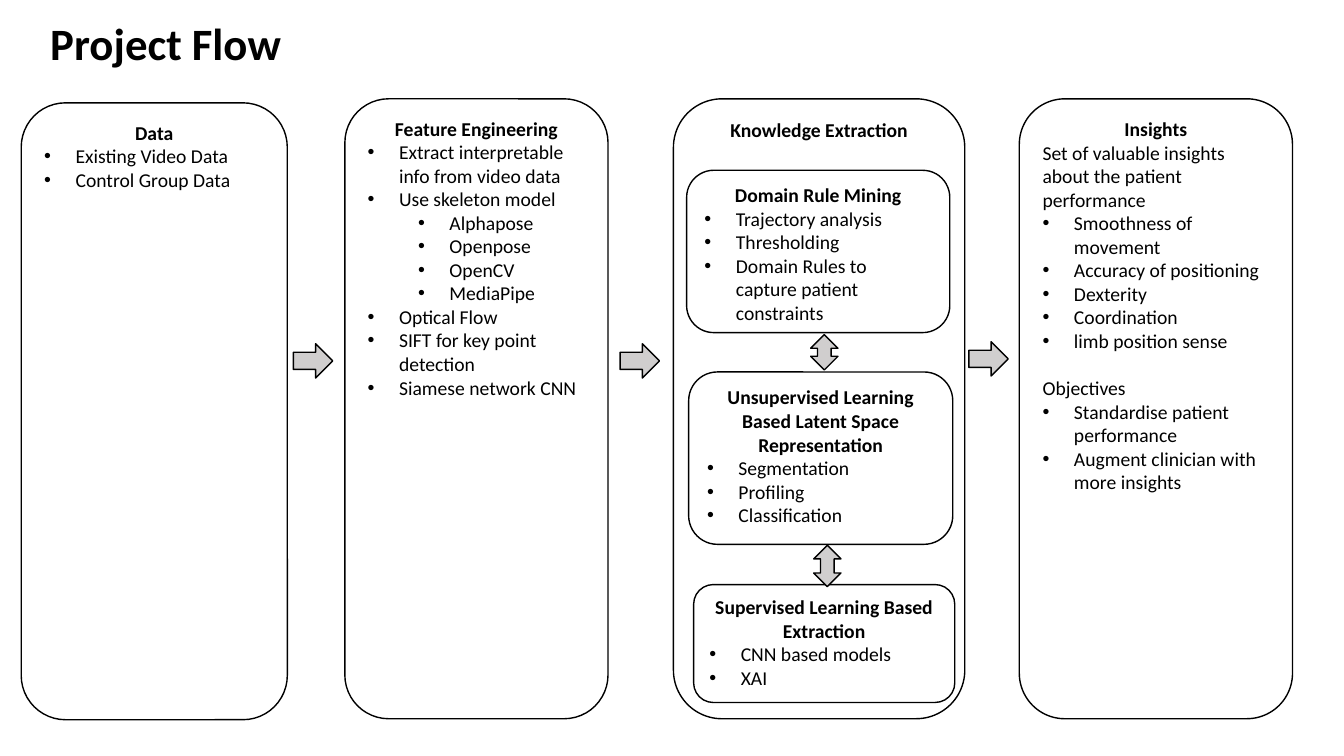
from dataclasses import dataclass
from enum import Enum

from lxml import etree
from pptx import Presentation, util as u
from pptx.dml.color import RGBColor
from pptx.enum import shapes, text
from pptx.oxml import ns

COLOURS = {"ink": "000000", "panel": "FFFFFF", "arrow": "D0CECE"}
FONT_NAME = "Calibri"
BODY_SIZE = 14
TITLE_SIZE = 32

deck = Presentation()
deck.slide_width, deck.slide_height = u.Inches(13.33), u.Inches(7.5)
page = deck.slides.add_slide(deck.slide_layouts[6])


@dataclass(frozen=True)
class Area:
    """A rectangle in percent of the slide's width and height."""
    left: float
    top: float
    width: float
    height: float

    def lengths(self) -> list[int]:
        return [across(self.left), down(self.top), across(self.width), down(self.height)]


class Style(Enum):
    HEADING = "heading"
    PLAIN = "plain"
    SECTION = "section"
    BULLET = "bullet"
    SUB_BULLET = "sub-bullet"


@dataclass(frozen=True)
class Line:
    text: str
    style: Style = Style.BULLET


@dataclass(frozen=True)
class Panel:
    area: Area
    heading: str
    lines: tuple[Line, ...] = ()


@dataclass(frozen=True)
class Arrow:
    kind: shapes.MSO_SHAPE
    area: Area


PARAGRAPH_FORMATS = {
    Style.HEADING: {"alignment": text.PP_ALIGN.CENTER},
    Style.PLAIN: {"alignment": text.PP_ALIGN.LEFT},
    Style.SECTION: {"alignment": text.PP_ALIGN.LEFT, "space_before": u.Pt(17)},
    Style.BULLET: {"alignment": text.PP_ALIGN.LEFT},
    Style.SUB_BULLET: {"alignment": text.PP_ALIGN.LEFT, "level": 1},
}
BULLET_HANG = 2.34
BULLET_MARGINS = {Style.BULLET: 2.34, Style.SUB_BULLET: 6.09}

COLUMN_TOP, COLUMN_HEIGHT = 13.07, 82
PANELS = (
    Panel(Area(50.11, COLUMN_TOP, 21.68, COLUMN_HEIGHT), "Knowledge Extraction"),
    Panel(Area(1.58, 13.6, 19.8, 81.6), "Data",
          (Line("Existing Video Data"), Line("Control Group Data"))),
    Panel(Area(25.66, COLUMN_TOP, 19.58, COLUMN_HEIGHT), "Feature Engineering", (
        Line("Extract interpretable info from video data"),
        Line("Use skeleton model"),
        Line("Alphapose", Style.SUB_BULLET),
        Line("Openpose", Style.SUB_BULLET),
        Line("OpenCV", Style.SUB_BULLET),
        Line("MediaPipe", Style.SUB_BULLET),
        Line("Optical Flow"),
        Line("SIFT for key point detection"),
        Line("Siamese network CNN"))),
    Panel(Area(75.84, COLUMN_TOP, 20.33, COLUMN_HEIGHT), "Insights", (
        Line("Set of valuable insights about the patient performance", Style.PLAIN),
        Line("Smoothness of movement"),
        Line("Accuracy of positioning"),
        Line("Dexterity"),
        Line("Coordination"),
        Line("limb position sense"),
        Line("Objectives", Style.SECTION),
        Line("Standardise patient performance"),
        Line("Augment clinician with more insights"))),
    Panel(Area(51.09, 22.53, 19.58, 21.47), "Domain Rule Mining", (
        Line("Trajectory analysis"),
        Line("Thresholding"),
        Line("Domain Rules to capture patient constraints"))),
    Panel(Area(51.24, 49.2, 19.65, 22.8),
          "Unsupervised Learning Based Latent Space Representation",
          (Line("Segmentation"), Line("Profiling"), Line("Classification"))),
    Panel(Area(51.61, 77.33, 19.43, 15.6), "Supervised Learning Based Extraction",
          (Line("CNN based models"), Line("XAI"))),
)

NEXT, BOTH_WAYS = shapes.MSO_SHAPE.RIGHT_ARROW, shapes.MSO_SHAPE.UP_DOWN_ARROW
ARROWS = (
    Arrow(NEXT, Area(21.83, 45.47, 2.93, 4.53)),
    Arrow(NEXT, Area(46.14, 45.47, 2.93, 4.53)),
    Arrow(NEXT, Area(72.09, 45.2, 2.93, 4.53)),
    Arrow(BOTH_WAYS, Area(60.32, 44.27, 2.03, 4.67)),
    Arrow(BOTH_WAYS, Area(60.54, 72.13, 2.03, 5.47)),
)


def across(percent: float) -> int:
    return round(deck.slide_width * percent / 100)


def down(percent: float) -> int:
    return round(deck.slide_height * percent / 100)


def colour(name: str) -> RGBColor:
    return RGBColor.from_string(COLOURS[name])


def apply(target, values: dict) -> None:
    for name, value in values.items():
        setattr(target, name, value)


def add_bullet(para, margin: float) -> None:
    properties = para._p.get_or_add_pPr()
    properties.set("marL", str(across(margin)))
    properties.set("indent", str(-across(BULLET_HANG)))
    etree.SubElement(properties, ns.qn("a:buFont")).set("typeface", "Arial")
    etree.SubElement(properties, ns.qn("a:buChar")).set("char", "•")


def add_span(para, words: str, size: float, bold: bool) -> None:
    span = para.add_run()
    span.text = words
    apply(span.font, {"name": FONT_NAME, "size": u.Pt(size), "bold": bold})
    span.font.color.rgb = colour("ink")


def draw_shape(kind: shapes.MSO_SHAPE, area: Area, fill: str):
    box = page.shapes.add_shape(kind, *area.lengths())
    box.shadow.inherit = False
    box.fill.solid()
    box.fill.fore_color.rgb = colour(fill)
    box.line.color.rgb = colour("ink")
    box.line.width = u.Pt(1)
    return box


def draw_panel(panel: Panel) -> None:
    box = draw_shape(shapes.MSO_SHAPE.ROUNDED_RECTANGLE, panel.area, "panel")
    frame = box.text_frame
    apply(frame, {"word_wrap": True, "vertical_anchor": text.MSO_ANCHOR.TOP})
    for index, line in enumerate((Line(panel.heading, Style.HEADING), *panel.lines)):
        para = frame.add_paragraph() if index else frame.paragraphs[0]
        if line.style in BULLET_MARGINS:
            add_bullet(para, BULLET_MARGINS[line.style])
        apply(para, PARAGRAPH_FORMATS[line.style])
        add_span(para, line.text, BODY_SIZE, line.style is Style.HEADING)


def draw_title(words: str, area: Area) -> None:
    box = page.shapes.add_textbox(*area.lengths())
    apply(box.text_frame, {"word_wrap": True, "vertical_anchor": text.MSO_ANCHOR.TOP})
    para = box.text_frame.paragraphs[0]
    para.line_spacing = 0.9
    add_span(para, words, TITLE_SIZE, True)


def main() -> None:
    for panel in PANELS:
        draw_panel(panel)
    for arrow in ARROWS:
        draw_shape(arrow.kind, arrow.area, "arrow")
    draw_title("Project Flow", Area(3, 2.27, 19.8, 9.6))
    deck.save("out.pptx")


if __name__ == "__main__":
    main()
